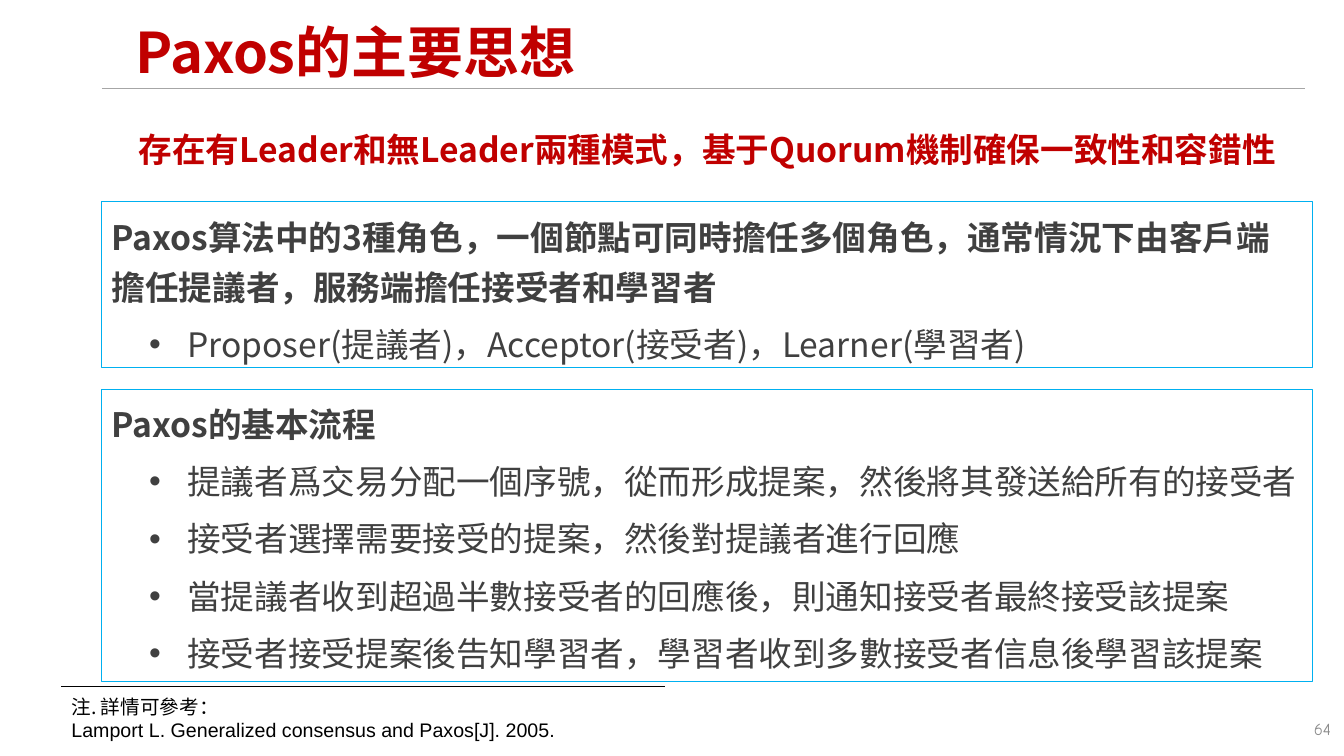
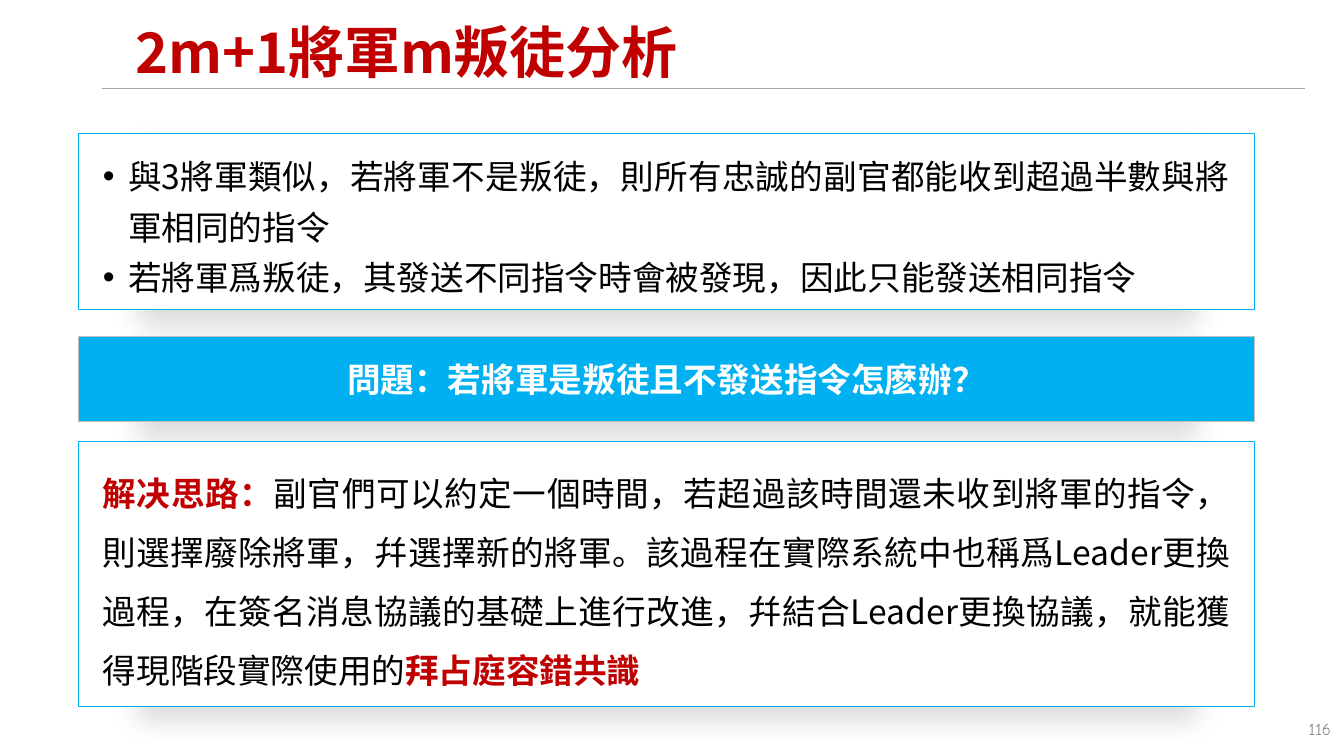
import pptx
import pptx.util
import pptx.dml.color
import pptx.enum.shapes
import pptx.enum.text
import pptx.oxml
import pptx.oxml.ns
from lxml import etree

Inches = pptx.util.Inches
Pt = pptx.util.Pt
RGBColor = pptx.dml.color.RGBColor
Align = pptx.enum.text.PP_ALIGN
Anchor = pptx.enum.text.MSO_ANCHOR
qn = pptx.oxml.ns.qn

RED = RGBColor(0xC0, 0x00, 0x00)
BLUE = RGBColor(0x00, 0xB0, 0xF0)
WHITE = RGBColor(0xFF, 0xFF, 0xFF)
BLACK = RGBColor(0x00, 0x00, 0x00)
DARK_GRAY = RGBColor(0x40, 0x40, 0x40)
RULE_GRAY = RGBColor(0xA6, 0xA6, 0xA6)
NUMBER_GRAY = RGBColor(0x8C, 0x8C, 0x8C)
BORDER_GRAY = RGBColor(0xBF, 0xBF, 0xBF)
FONT = "Noto Sans CJK SC"

SHADOW = (
    f'<a:outerShdw {pptx.oxml.ns.nsdecls("a")} blurRad="254000" dist="127000" dir="5400000" '
    'sx="90000" algn="t" rotWithShape="0"><a:srgbClr val="000000"><a:alpha val="15000"/>'
    '</a:srgbClr></a:outerShdw>'
)


def format_paragraph(paragraph, size, color, bold=False, align=Align.LEFT, line=None,
                     before=0, indent=None, name=FONT):
    paragraph.alignment = align
    paragraph.space_before = Pt(before)
    if line:
        paragraph.line_spacing = line
    if indent:
        left, hanging = indent
        properties = paragraph._p.get_or_add_pPr()
        properties.set("marL", str(Inches(left)))
        properties.set("indent", str(-Inches(hanging)))
        etree.SubElement(properties, qn("a:buFont")).set("typeface", "Arial")
        etree.SubElement(properties, qn("a:buChar")).set("char", "•")
    font = paragraph.font
    font.size = Pt(size)
    font.bold = bold
    font.color.rgb = color
    font.name = name
    etree.SubElement(font._element, qn("a:ea")).set("typeface", name)


def add_box(slide, left, top, width, height, line=None, width_pt=0.5, fill=None, shadow=False):
    frame = [Inches(value) for value in (left, top, width, height)]
    if line is None:
        shape = slide.shapes.add_textbox(*frame)
    else:
        shape = slide.shapes.add_shape(pptx.enum.shapes.MSO_SHAPE.RECTANGLE, *frame)
        shape.shadow.inherit = False
        shape.line.color.rgb = line
        shape.line.width = Pt(width_pt)
        if fill is None:
            shape.fill.background()
        else:
            shape.fill.solid()
            shape.fill.fore_color.rgb = fill
        if shadow:
            effects = shape._element.spPr.find(qn("a:effectLst"))
            effects.append(pptx.oxml.parse_xml(SHADOW))
    shape.text_frame.word_wrap = True
    shape.text_frame.vertical_anchor = Anchor.TOP
    return shape


presentation = pptx.Presentation()
presentation.slide_width = Inches(13.33)
presentation.slide_height = Inches(7.5)

slides = []
rules = []
for title_text, number in [("Paxos的主要思想", "64"), ("2m+1將軍m叛徒分析", "116")]:
    slide = presentation.slides.add_slide(presentation.slide_layouts[5])
    slides.append(slide)
    title = slide.shapes.title
    title.left, title.top = Inches(1.24), Inches(0.15)
    title.width, title.height = Inches(11.18), Inches(0.79)
    title.text_frame.text = title_text
    title.text_frame.vertical_anchor = Anchor.MIDDLE
    title.text_frame.auto_size = pptx.enum.text.MSO_AUTO_SIZE.NONE
    format_paragraph(title.text_frame.paragraphs[0], 40, RED, True, line=0.9)
    rules.append((slide, 1.01, 12.94, 0.88, RULE_GRAY))
    number_box = add_box(slide, 10.19, 7.08, 3.11, 0.4)
    number_box.text_frame.text = number
    format_paragraph(number_box.text_frame.paragraphs[0], 12, NUMBER_GRAY,
                     align=Align.RIGHT, name="Comic Neue")

paxos_slide, generals_slide = slides
rules.append((paxos_slide, 0.61, 6.6, 6.81, BLACK))
for slide, start, end, height, color in rules:
    rule = slide.shapes.add_connector(pptx.enum.shapes.MSO_CONNECTOR.STRAIGHT, Inches(start),
                                      Inches(height), Inches(end), Inches(height))
    rule.line.color.rgb = color
    rule.line.width = Pt(1)
    etree.SubElement(rule._element.spPr, qn("a:effectLst"))

summary = add_box(paxos_slide, 1.01, 1.13, 12.01, 0.56)
summary.text_frame.text = "存在有Leader和無Leader兩種模式，基于Quorum機制確保一致性和容錯性"
format_paragraph(summary.text_frame.paragraphs[0], 24, RED, True, Align.CENTER, Pt(36))

sections = [
    (2, 1.65, [
        "Paxos算法中的3種角色，一個節點可同時擔任多個角色，通常情況下由客戶端擔任提議者，服務端擔任接受者和學習者",
        "Proposer(提議者)，Acceptor(接受者)，Learner(學習者)",
    ]),
    (3.86, 2.9, [
        "Paxos的基本流程",
        "提議者爲交易分配一個序號，從而形成提案，然後將其發送給所有的接受者",
        "接受者選擇需要接受的提案，然後對提議者進行回應",
        "當提議者收到超過半數接受者的回應後，則通知接受者最終接受該提案",
        "接受者接受提案後告知學習者，學習者收到多數接受者信息後學習該提案",
    ]),
]
for top, height, lines in sections:
    section = add_box(paxos_slide, 1.01, top, 12.01, height, BLUE, 0.75)
    section.text_frame.text = "\n".join(lines)
    heading, *items = section.text_frame.paragraphs
    format_paragraph(heading, 24, DARK_GRAY, True, line=Pt(36))
    for item in items:
        format_paragraph(item, 24, DARK_GRAY, line=Pt(36), before=4.8, indent=(0.75, 0.38))

footnote = add_box(paxos_slide, 0.61, 6.84, 9.48, 0.57)
footnote.text_frame.text = "注. 詳情可參考：\nLamport L. Generalized consensus and Paxos[J]. 2005."
for paragraph, name in zip(footnote.text_frame.paragraphs, (FONT, "Arial")):
    format_paragraph(paragraph, 14, BLACK, align=Align.JUSTIFY, name=name)

panels = []
for top, height, line, fill in [(1.32, 1.75, BLUE, WHITE), (3.34, 0.84, BORDER_GRAY, BLUE),
                                (4.38, 2.63, BLUE, WHITE)]:
    panel = add_box(generals_slide, 0.78, top, 11.66, height, line, fill=fill, shadow=True)
    panel.text_frame.margin_left = panel.text_frame.margin_right = Inches(0.24)
    panel.text_frame.margin_top = Inches(0.13)
    panels.append(panel.text_frame)
analysis, question, solution = panels

analysis.text = (
    "與3將軍類似，若將軍不是叛徒，則所有忠誠的副官都能收到超過半數與將軍相同的指令\n"
    "若將軍爲叛徒，其發送不同指令時會被發現，因此只能發送相同指令"
)
for paragraph in analysis.paragraphs:
    format_paragraph(paragraph, 24, BLACK, align=Align.JUSTIFY, line=Pt(36), indent=(0.25, 0.25))

question.text = "問題：若將軍是叛徒且不發送指令怎麽辦？"
question.vertical_anchor = Anchor.MIDDLE
question.margin_bottom = Inches(0.13)
format_paragraph(question.paragraphs[0], 24, WHITE, True, Align.CENTER)

paragraph = solution.paragraphs[0]
format_paragraph(paragraph, 24, BLACK, align=Align.JUSTIFY, line=Pt(42))
for text, emphasized in [
    ("解决思路：", True),
    ("副官們可以約定一個時間，若超過該時間還未收到將軍的指令，則選擇廢除將軍，幷選擇新的將軍。"
     "該過程在實際系統中也稱爲Leader更換過程，在簽名消息協議的基礎上進行改進，"
     "幷結合Leader更換協議，就能獲得現階段實際使用的", False),
    ("拜占庭容錯共識", True),
]:
    run = paragraph.add_run()
    run.text = text
    if emphasized:
        run.font.bold = True
        run.font.color.rgb = RED

presentation.save("out.pptx")
